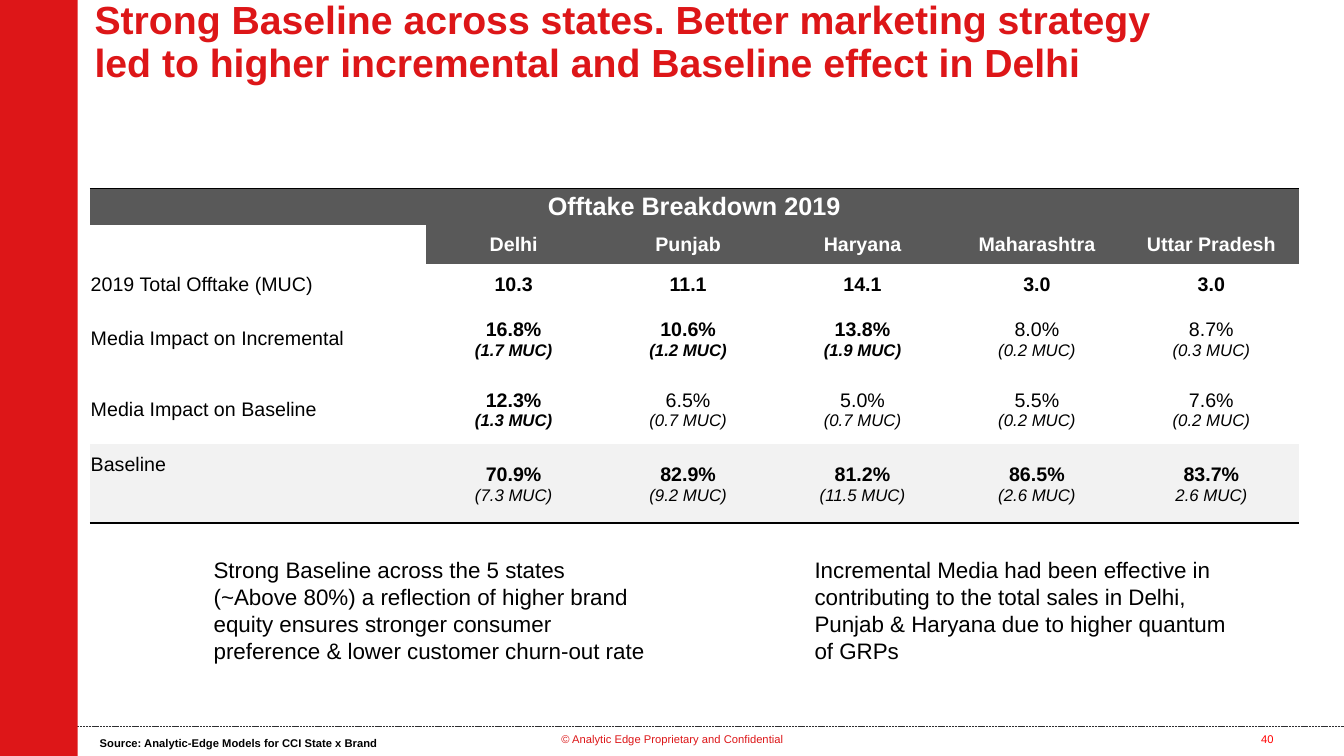
import pptx
import pptx.util
import pptx.dml.color
import pptx.enum.dml
import pptx.enum.shapes
import pptx.enum.text
import pptx.oxml.ns
import lxml.etree

Inches, Pt = pptx.util.Inches, pptx.util.Pt
ALIGN, ANCHOR = pptx.enum.text.PP_ALIGN, pptx.enum.text.MSO_ANCHOR
qn = pptx.oxml.ns.qn

# Content
COLORS = {"red": "DD1618", "number": "FF0000", "rule": "2E2E30", "head": "595959",
          "band": "F2F2F2", "black": "000000", "white": "FFFFFF"}
TITLE = ("Strong Baseline across states. Better marketing strategy "
         "led to higher incremental and Baseline effect in Delhi")
TABLE_TITLE = "Offtake Breakdown 2019"
STATES = ["Delhi", "Punjab", "Haryana", "Maharashtra", "Uttar Pradesh"]
# label, share per state, amount per state, number of leading states in bold
MEASURES = [
    ("2019 Total Offtake (MUC)", ["10.3", "11.1", "14.1", "3.0", "3.0"], None, 5),
    ("Media Impact on Incremental", ["16.8%", "10.6%", "13.8%", "8.0%", "8.7%"],
     ["(1.7 MUC)", "(1.2 MUC)", "(1.9 MUC)", "(0.2 MUC)", "(0.3 MUC)"], 3),
    ("Media Impact on Baseline", ["12.3%", "6.5%", "5.0%", "5.5%", "7.6%"],
     ["(1.3 MUC)", "(0.7 MUC)", "(0.7 MUC)", "(0.2 MUC)", "(0.2 MUC)"], 1),
]
BASELINE = ("Baseline", ["70.9%", "82.9%", "81.2%", "86.5%", "83.7%"],
            ["(7.3 MUC)", "(9.2 MUC)", "(11.5 MUC)", "(2.6 MUC)", "2.6 MUC)"])
COLUMN_WIDTHS = [3.34] + [1.73] * len(STATES)
ROW_HEIGHTS = [0.36, 0.39, 0.39, 0.7, 0.7, 0.39, 0.39]
# text, (left, top, width, height), size, colour, bold, centred, wrap
TEXTS = [
    ("© Analytic Edge Proprietary and Confidential", (5.27, 7.22, 2.8, 0.4),
     8, "red", False, True, True),
    ("40", (12.26, 7.22, 0.62, 0.4), 8, "number", False, True, True),
    ("Source: Analytic-Edge Models for CCI State x Brand", (0.89, 7.26, 2.98, 0.24),
     8, "black", True, False, False),
    ("Strong Baseline across the 5 states (~Above 80%) a reflection of higher brand equity "
     "ensures stronger consumer preference & lower customer churn-out rate",
     (2.02, 5.47, 4.52, 1.18), 16, "black", False, False, True),
    ("Incremental Media had been effective in contributing to the total sales in Delhi, "
     "Punjab & Haryana due to higher quantum of GRPs",
     (7.98, 5.47, 4.28, 1.18), 16, "black", False, False, True),
]


def rgb(name):
    return pptx.dml.color.RGBColor.from_string(COLORS[name])


def style(span, size, color, bold=False, italic=False):
    span.font.name = "Arial"
    span.font.size = Pt(size)
    span.font.color.rgb = rgb(color)
    span.font.bold = bold
    span.font.italic = italic


def add_text(text, area, size, color, bold, centred, wrap):
    box = slide.shapes.add_textbox(*map(Inches, area))
    box.text_frame.text = text
    box.text_frame.word_wrap = wrap
    para = box.text_frame.paragraphs[0]
    para.alignment = ALIGN.CENTER if centred else ALIGN.LEFT
    style(para.runs[0], size, color, bold)
    return box


def write_cell(row, column, text, size=14, color="black", bold=False,
               centred=True, amount_bold=False):
    """Fill a cell; a second run, if any, is the smaller italic amount."""
    cell = table.cell(row, column)
    cell.text_frame.text = text
    spans = []
    for para in cell.text_frame.paragraphs:
        para.alignment = ALIGN.CENTER if centred else ALIGN.LEFT
        spans.extend(para.runs)
        for line_break in para._p.findall(qn("a:br")):
            lxml.etree.SubElement(line_break, qn("a:rPr")).set("sz", str(size * 100))
    style(spans[0], size, color, bold)
    for span in spans[1:]:
        style(span, 12, color, amount_bold, italic=True)


def add_border(cell, side):
    line = lxml.etree.Element(qn("a:" + side), w=str(Pt(1)))
    fill = lxml.etree.SubElement(line, qn("a:solidFill"))
    lxml.etree.SubElement(fill, qn("a:srgbClr")).set("val", COLORS["black"])
    cell._tc.get_or_add_tcPr().insert(0, line)


deck = pptx.Presentation()
deck.slide_width, deck.slide_height = Inches(13.33), Inches(7.5)
slide = deck.slides.add_slide(deck.slide_layouts[6])

# Footer rule and side bar
rule = slide.shapes.add_connector(pptx.enum.shapes.MSO_CONNECTOR.STRAIGHT,
                                  Inches(0.71), Inches(7.21), Inches(13.33), Inches(7.21))
rule.line.color.rgb = rgb("rule")
rule.line.width = Pt(0.5)
rule.line.dash_style = pptx.enum.dml.MSO_LINE.SQUARE_DOT
lxml.etree.SubElement(rule._element.spPr, qn("a:effectLst"))

bar = slide.shapes.add_shape(pptx.enum.shapes.MSO_SHAPE.RECTANGLE,
                             0, 0, Inches(0.77), Inches(7.5))
bar.shadow.inherit = False
bar.fill.solid()
bar.fill.fore_color.rgb = rgb("red")
bar.line.fill.background()

# Title
title = add_text(TITLE, (0.84, 0, 11.27, 0.86), 28, "red", True, False, True)
title.text_frame.vertical_anchor = ANCHOR.MIDDLE
title.text_frame.paragraphs[0].line_spacing = 0.9

# Table grid
frame = slide.shapes.add_table(len(ROW_HEIGHTS), len(COLUMN_WIDTHS), Inches(0.89), Inches(1.87),
                               Inches(sum(COLUMN_WIDTHS)), Inches(sum(ROW_HEIGHTS)))
table = frame.table
table.first_row = table.horz_banding = False
NO_STYLE = "{2D5ABB26-0587-4C30-8999-92F81FD0307C}"
table._tbl.tblPr.find(qn("a:tableStyleId")).text = NO_STYLE
for column, width in zip(table.columns, COLUMN_WIDTHS):
    column.width = Inches(width)
for row, height in zip(table.rows, ROW_HEIGHTS):
    row.height = Inches(height)

last_row = len(ROW_HEIGHTS) - 1
baseline_row = last_row - 1
for r in range(len(ROW_HEIGHTS)):
    for c in range(len(COLUMN_WIDTHS)):
        cell = table.cell(r, c)
        cell.margin_left = cell.margin_right = cell.margin_top = Inches(0.01)
        cell.margin_bottom = 0
        cell.vertical_anchor = ANCHOR.MIDDLE
        cell.text_frame.paragraphs[0].font.size = Pt(14)
        if r == 0 or (r == 1 and c > 0):
            cell.fill.solid()
            cell.fill.fore_color.rgb = rgb("head")
        elif r >= baseline_row:
            cell.fill.solid()
            cell.fill.fore_color.rgb = rgb("band")
        else:
            cell.fill.background()
        if r == 0:
            add_border(cell, "lnT")
        if r == last_row or (r == baseline_row and c > 0):
            add_border(cell, "lnB")

# Table headings
table.cell(0, 0).merge(table.cell(0, len(STATES)))
write_cell(0, 0, TABLE_TITLE, 18, "white", True)
for c, state in enumerate(STATES, 1):
    write_cell(1, c, state, 14, "white", True)

# Table values
for r, (label, shares, amounts, bold_count) in enumerate(MEASURES, 2):
    write_cell(r, 0, label, centred=False)
    for c, share in enumerate(shares, 1):
        bold = c <= bold_count
        text = f"{share}\v{amounts[c - 1]}" if amounts else share
        write_cell(r, c, text, bold=bold, amount_bold=bold)

label, shares, amounts = BASELINE
write_cell(baseline_row, 0, label, centred=False)
for c, (share, amount) in enumerate(zip(shares, amounts), 1):
    table.cell(baseline_row, c).merge(table.cell(last_row, c))
    write_cell(baseline_row, c, f"{share}\n{amount}", bold=True)

# Footer and remarks
for entry in TEXTS:
    add_text(*entry)

deck.save("out.pptx")
